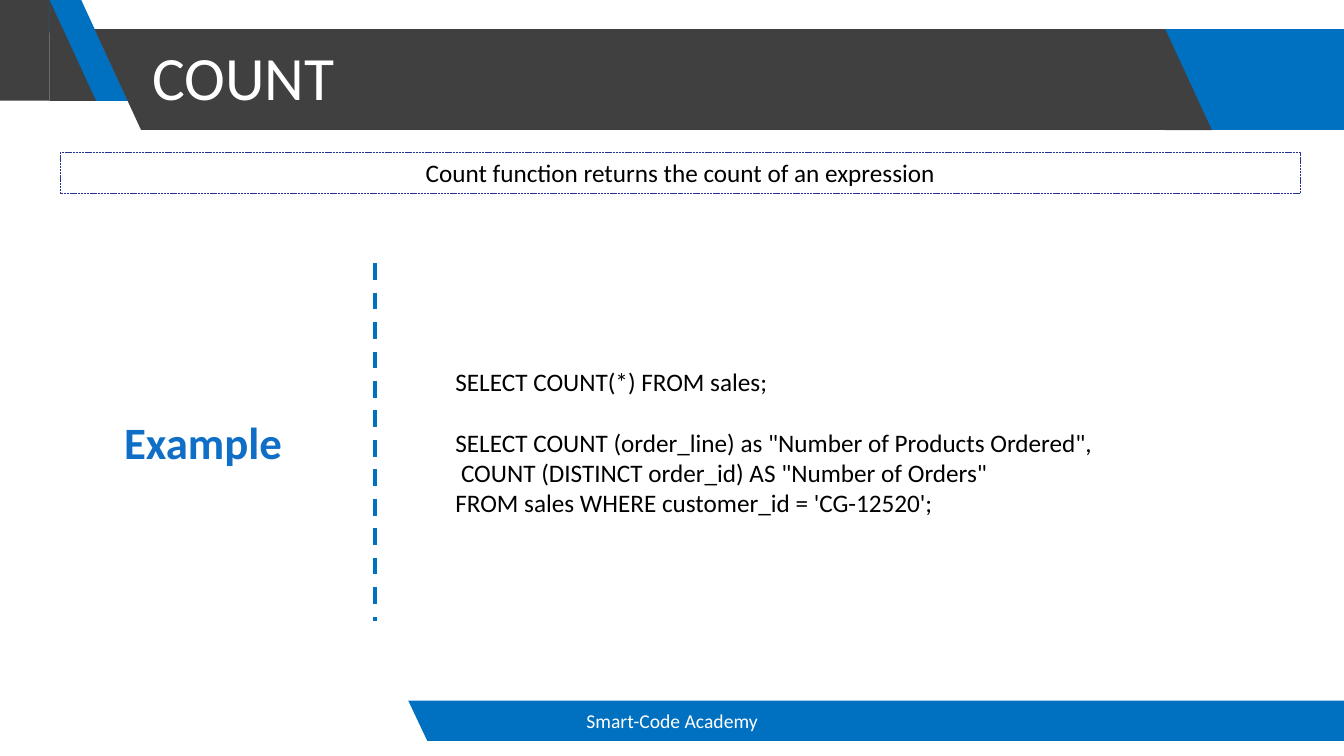
from pptx import Presentation
from pptx.dml.color import RGBColor
from pptx.enum.dml import MSO_LINE
from pptx.enum.shapes import MSO_CONNECTOR, MSO_SHAPE
from pptx.enum.text import MSO_ANCHOR, PP_ALIGN
from pptx.oxml.ns import qn
from pptx.util import Pt

BLUE = RGBColor(0x00, 0x70, 0xC0)
LABEL_BLUE = RGBColor(0x0F, 0x6F, 0xC6)
NAVY = RGBColor(0x26, 0x33, 0x93)
GREY = RGBColor(0x40, 0x40, 0x40)
WHITE = RGBColor(0xFF, 0xFF, 0xFF)
BLACK = RGBColor(0x00, 0x00, 0x00)
RECT = MSO_SHAPE.RECTANGLE
SLANT = MSO_SHAPE.RIGHT_TRIANGLE
LEFT, CENTER = PP_ALIGN.LEFT, PP_ALIGN.CENTER
TOP, MIDDLE = MSO_ANCHOR.TOP, MSO_ANCHOR.MIDDLE

prs = Presentation()
prs.slide_width, prs.slide_height = Pt(960), Pt(540)
slide = prs.slides.add_slide(prs.slide_layouts[6])
shapes = slide.shapes


def write(frame, lines, size, color, align=LEFT, anchor=TOP, bold=False):
    frame.word_wrap = True
    frame.vertical_anchor = anchor
    for i, line in enumerate(lines):
        paragraph = frame.paragraphs[0] if i == 0 else frame.add_paragraph()
        paragraph.alignment = align
        run = paragraph.add_run()
        run.text = line
        run.font.name = "Calibri"
        run.font.size = Pt(size)
        run.font.bold = bold
        run.font.color.rgb = color


def add_text(box, *args, **options):
    frame = shapes.add_textbox(*map(Pt, box)).text_frame
    write(frame, *args, **options)
    return frame


BAND_TOP, BAND_HEIGHT, SLANT_WIDTH = 20.9, 72, 33.3
FOOTER_TOP, FOOTER_HEIGHT = 500.4, 28.8

bands = [
    (RECT, 769, BAND_TOP, 191, BAND_HEIGHT, 0, BLUE),
    (SLANT, 58, 0, SLANT_WIDTH, BAND_HEIGHT, 0, BLUE),
    (SLANT, 24.7, 0, SLANT_WIDTH, BAND_HEIGHT, 180, BLUE),
    (RECT, 0, 0, 35.3, BAND_HEIGHT, 0, GREY),
    (SLANT, 35.3, 0, SLANT_WIDTH, BAND_HEIGHT, 0, GREY),
    (SLANT, 67.5, BAND_TOP, SLANT_WIDTH, BAND_HEIGHT, 180, GREY),
    (RECT, 100.8, BAND_TOP, 731.5, BAND_HEIGHT, 0, GREY),
    (SLANT, 832.3, BAND_TOP, SLANT_WIDTH, BAND_HEIGHT, 0, GREY),
    (RECT, 305.2, FOOTER_TOP, 654.8, FOOTER_HEIGHT, 0, BLUE),
    (SLANT, 291.6, FOOTER_TOP, 13.6, FOOTER_HEIGHT, 180, BLUE),
]
for kind, left, top, width, height, rotation, color in bands:
    band = shapes.add_shape(kind, Pt(left), Pt(top), Pt(width), Pt(height))
    band.shadow.inherit = False
    band.rotation = rotation
    band.fill.solid()
    band.fill.fore_color.rgb = color
    band.line.fill.background()

title = add_text((101.5, 5, 730, 104.4), ["COUNT"], 44, WHITE, anchor=MIDDLE)
title.paragraphs[0].line_spacing = 0.9
add_text((318.2, FOOTER_TOP, 324, FOOTER_HEIGHT), ["Smart-Code Academy"], 14, WHITE,
         align=CENTER, anchor=MIDDLE)

definition = shapes.add_shape(RECT, Pt(42.8), Pt(109.1), Pt(886.3), Pt(29.1))
definition.shadow.inherit = False
definition.fill.background()
definition.line.color.rgb = NAVY
definition.line.width = Pt(0.5)
definition.line.dash_style = MSO_LINE.ROUND_DOT
definition.line.dash_style = MSO_LINE.SQUARE_DOT
write(definition.text_frame, ["Count function returns the count of an expression"], 18, BLACK,
      align=CENTER)

divider = shapes.add_connector(MSO_CONNECTOR.STRAIGHT, Pt(267.8), Pt(188), Pt(267.8), Pt(443.5))
divider.line.color.rgb = BLUE
divider.line.width = Pt(3)
divider.line.dash_style = MSO_LINE.DASH
properties = divider.element.spPr
properties.append(properties.makeelement(qn("a:effectLst"), {}))

add_text((22.3, 292.5, 245.5, 46), ["Example"], 32, LABEL_BLUE, align=CENTER, bold=True)

queries = add_text((318.2, 257.8, 594.7, 116.6), [
    "SELECT COUNT(*) FROM sales;",
    'SELECT COUNT (order_line) as "Number of Products Ordered",',
    ' COUNT (DISTINCT order_id) AS "Number of Orders"',
    "FROM sales WHERE customer_id = 'CG-12520';",
], 18, BLACK)
queries.paragraphs[1].space_before = Pt(22)

prs.save("out.pptx")
